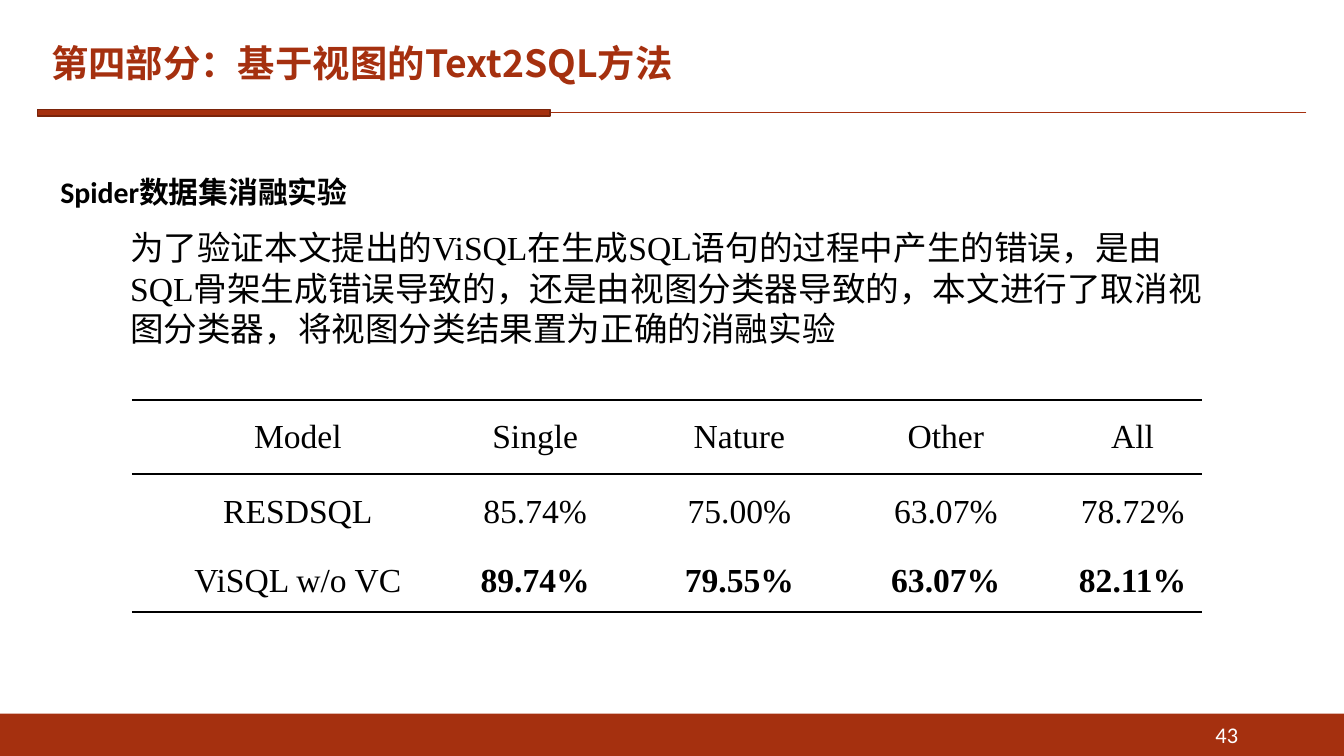
from lxml import etree
from pptx import Presentation
from pptx.dml.color import RGBColor
from pptx.enum.lang import MSO_LANGUAGE_ID
from pptx.enum.shapes import MSO_CONNECTOR, MSO_SHAPE
from pptx.enum.text import MSO_ANCHOR, MSO_AUTO_SIZE, PP_ALIGN
from pptx.oxml.ns import qn
from pptx.util import Cm, Pt

RECT, STRAIGHT = MSO_SHAPE.RECTANGLE, MSO_CONNECTOR.STRAIGHT
TOP, MIDDLE = MSO_ANCHOR.TOP, MSO_ANCHOR.MIDDLE
LEFT, CENTER, RIGHT = PP_ALIGN.LEFT, PP_ALIGN.CENTER, PP_ALIGN.RIGHT
NO_FIT = MSO_AUTO_SIZE.NONE
CHINESE = MSO_LANGUAGE_ID.SIMPLIFIED_CHINESE

RUST = RGBColor(0xA5, 0x30, 0x0F)
DARK_RUST = RGBColor(0x7A, 0x24, 0x0B)
BLACK = RGBColor(0, 0, 0)
WHITE = RGBColor(0xFF, 0xFF, 0xFF)

SANS_CJK = "Noto Sans CJK SC"
SERIF = "Times New Roman"
NO_TABLE_STYLE = "{2D5ABB26-0587-4C30-8999-92F81FD0307C}"

RESULTS = [
    ("Model", "Single", "Nature", "Other", "All"),
    ("RESDSQL", "85.74%", "75.00%", "63.07%", "78.72%"),
    ("ViSQL w/o VC", "89.74%", "79.55%", "63.07%", "82.11%"),
]
COL_WIDTHS = (5.44, 3.53, 4.19, 3.61, 3.45)
ROW_HEIGHTS = (1.4, 1.45, 1.16)


def write(tf, text, color, paragraph=None, **font):
    """Fill the first paragraph with one formatted run."""
    p = tf.paragraphs[0]
    for name, value in (paragraph or {}).items():
        setattr(p, name, value)
    r = p.add_run()
    r.text = text
    for name, value in font.items():
        setattr(r.font, name, value)
    r.font.language_id = CHINESE
    r.font.color.rgb = color
    etree.SubElement(r.font._element, qn("a:ea"), typeface=SANS_CJK)
    return p


def add_bar(s, box, line_color=None):
    sp = s.shapes.add_shape(RECT, *map(Cm, box))
    sp.shadow.inherit = False
    sp.fill.solid()
    sp.fill.fore_color.rgb = RUST
    if line_color is None:
        sp.line.fill.background()
    else:
        sp.line.color.rgb = line_color
        sp.line.width = Pt(1)


def add_text(s, box, text, color, anchor=TOP, paragraph=None, **font):
    tf = s.shapes.add_textbox(*map(Cm, box)).text_frame
    tf.word_wrap = True
    tf.vertical_anchor = anchor
    write(tf, text, color, paragraph, **font)


def add_header(s, box, text):
    """Title above a thin rule whose left part is a thick bar."""
    left, top, width, height = box
    rule_y = top + height
    rule = s.shapes.add_connector(
        STRAIGHT, Cm(left + width), Cm(rule_y), Cm(left), Cm(rule_y))
    rule.line.color.rgb = RUST
    rule.line.width = Pt(0.5)
    etree.SubElement(rule._element.spPr, qn("a:effectLst"))
    add_bar(s, (left, rule_y - 0.06, 9.68, 0.13), DARK_RUST)

    title = s.shapes.title
    title.left, title.top = Cm(left), Cm(top)
    title.width, title.height = Cm(16.69), Cm(1.6)
    tf = title.text_frame
    tf.auto_size = NO_FIT
    tf.word_wrap = True
    tf.vertical_anchor = MIDDLE
    write(tf, text, RUST, {"alignment": LEFT, "line_spacing": 0.9},
          name=SANS_CJK, size=Pt(20), bold=True)


def add_footer(s, box, number):
    left, top, width, height = box
    add_bar(s, box)
    add_text(s, (left + width - 7.47, top + 0.02, 5.72, height - 0.04), number,
             WHITE, MIDDLE, {"alignment": RIGHT}, name="Calibri", size=Pt(12))


def set_borders(cell, sides):
    """Draw black lines on the named sides (T, B) and clear the others."""
    tc_pr = cell._tc.get_or_add_tcPr()
    for side in "LRTB":
        ln = etree.SubElement(tc_pr, qn(f"a:ln{side}"), w=str(Pt(1)))
        if side in sides:
            fill = etree.SubElement(ln, qn("a:solidFill"))
            etree.SubElement(fill, qn("a:srgbClr"), val=str(BLACK))
        else:
            etree.SubElement(ln, qn("a:noFill"))


def add_results(s, box):
    """Three-line table; the last row's scores are bold."""
    frame = s.shapes.add_table(len(RESULTS), len(COL_WIDTHS), *map(Cm, box))
    table = frame.table
    table.horz_banding = table.first_row = False
    table._tbl.tblPr.find(qn("a:tableStyleId")).text = NO_TABLE_STYLE
    for col, width in zip(table.columns, COL_WIDTHS):
        col.width = Cm(width)
    for row, height in zip(table.rows, ROW_HEIGHTS):
        row.height = Cm(height)

    last = len(RESULTS) - 1
    for i, values in enumerate(RESULTS):
        for j, value in enumerate(values):
            cell = table.cell(i, j)
            set_borders(cell, ("TB", "T", "B")[i])
            cell.fill.background()
            cell.vertical_anchor = MIDDLE
            cell.margin_left = cell.margin_right = Cm(0.18)
            cell.margin_top = cell.margin_bottom = 0
            p = write(cell.text_frame, value, BLACK,
                      {"alignment": CENTER, "line_spacing": Pt(20)},
                      name=SERIF, size=Pt(18), bold=i == last and j > 0)
            p._p.get_or_add_pPr().set("indent", str(Cm(0.84)))


def main():
    prs = Presentation()
    prs.slide_width, prs.slide_height = Cm(25.4), Cm(14.29)
    s = prs.slides.add_slide(prs.slide_layouts[5])
    add_header(s, (0.71, 0.43, 23.98, 1.7), "第四部分：基于视图的Text2SQL方法")
    add_text(s, (0.89, 2.82, 12.52, 1.17), "Spider数据集消融实验", BLACK,
             paragraph={"line_spacing": 1.5},
             name="Calibri", size=Pt(16), bold=True)
    add_text(s, (2.21, 4.17, 20.85, 2.57),
             "为了验证本文提出的ViSQL在生成SQL语句的过程中产生的错误，"
             "是由SQL骨架生成错误导致的，还是由视图分类器导致的，"
             "本文进行了取消视图分类器，将视图分类结果置为正确的消融实验",
             BLACK, name=SERIF, size=Pt(18))
    add_results(s, (2.49, 7.56, sum(COL_WIDTHS), sum(ROW_HEIGHTS)))
    add_footer(s, (0, 13.49, 25.4, 0.8), "43")
    prs.save("out.pptx")


if __name__ == "__main__":
    main()
